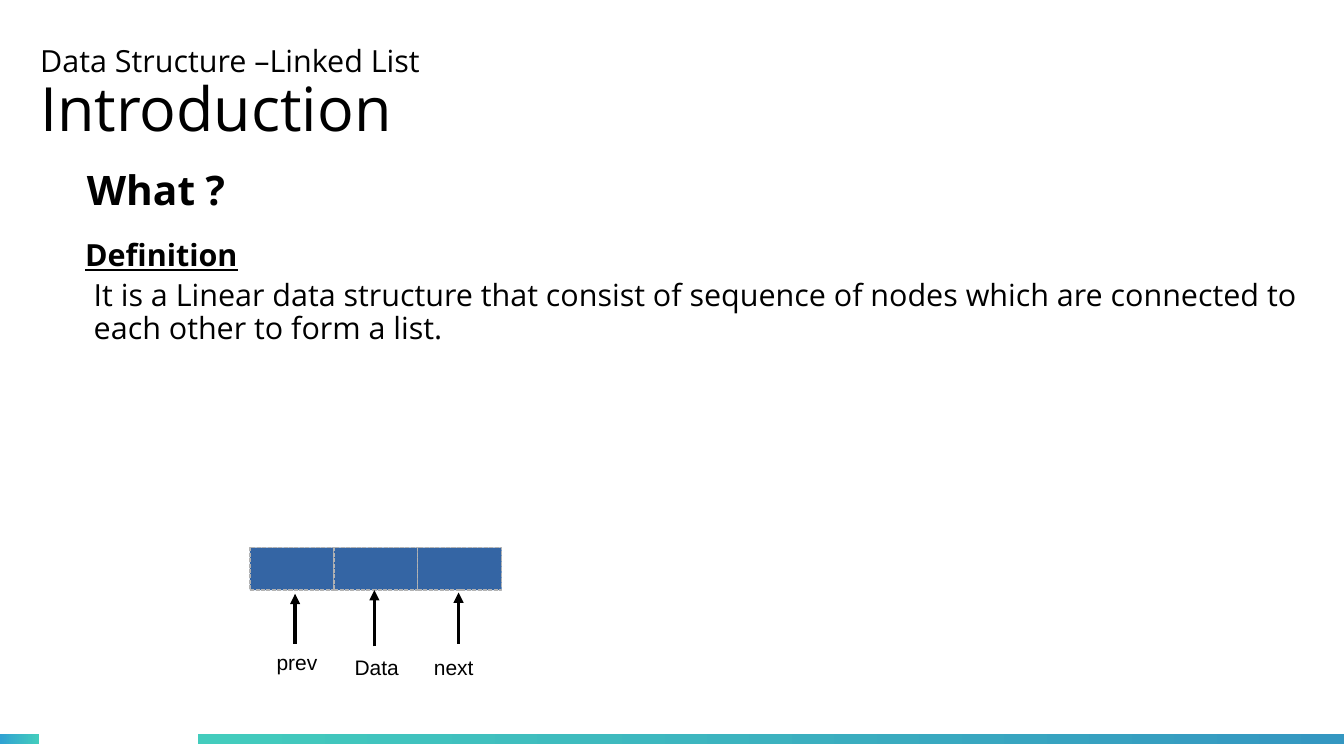
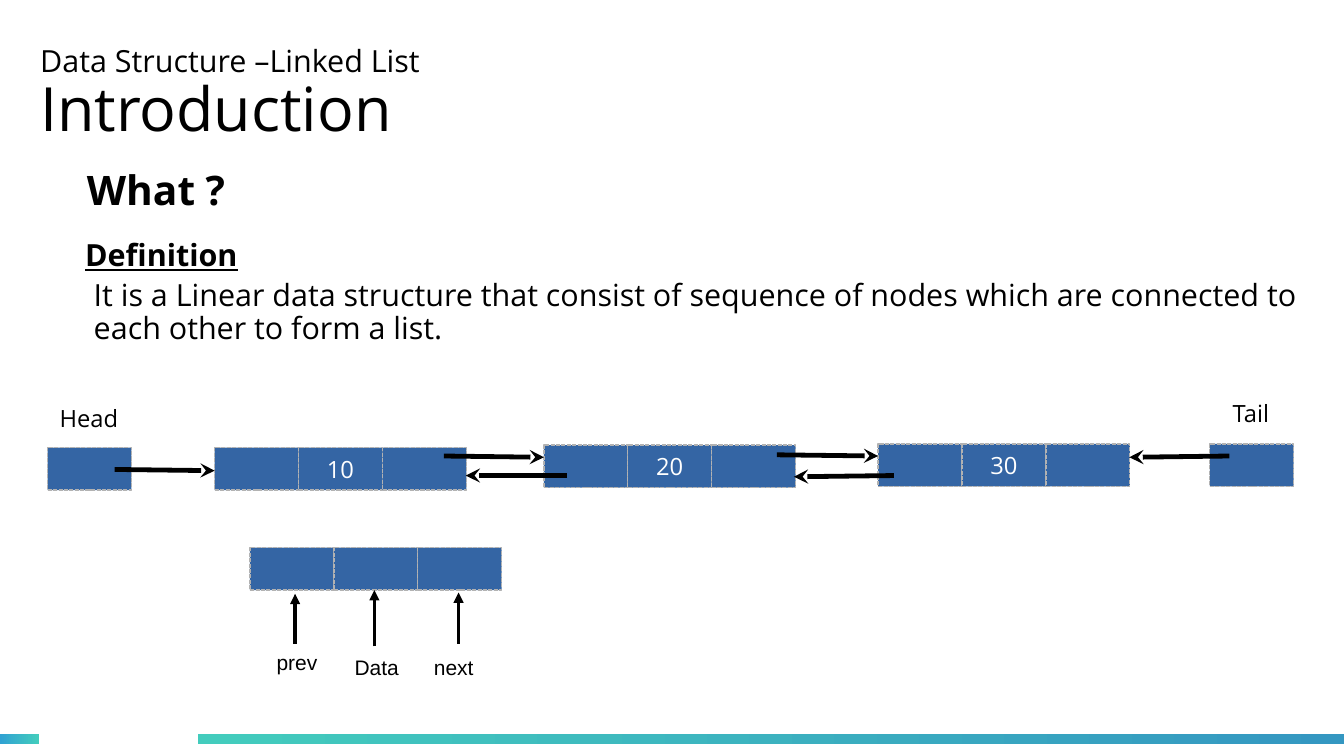
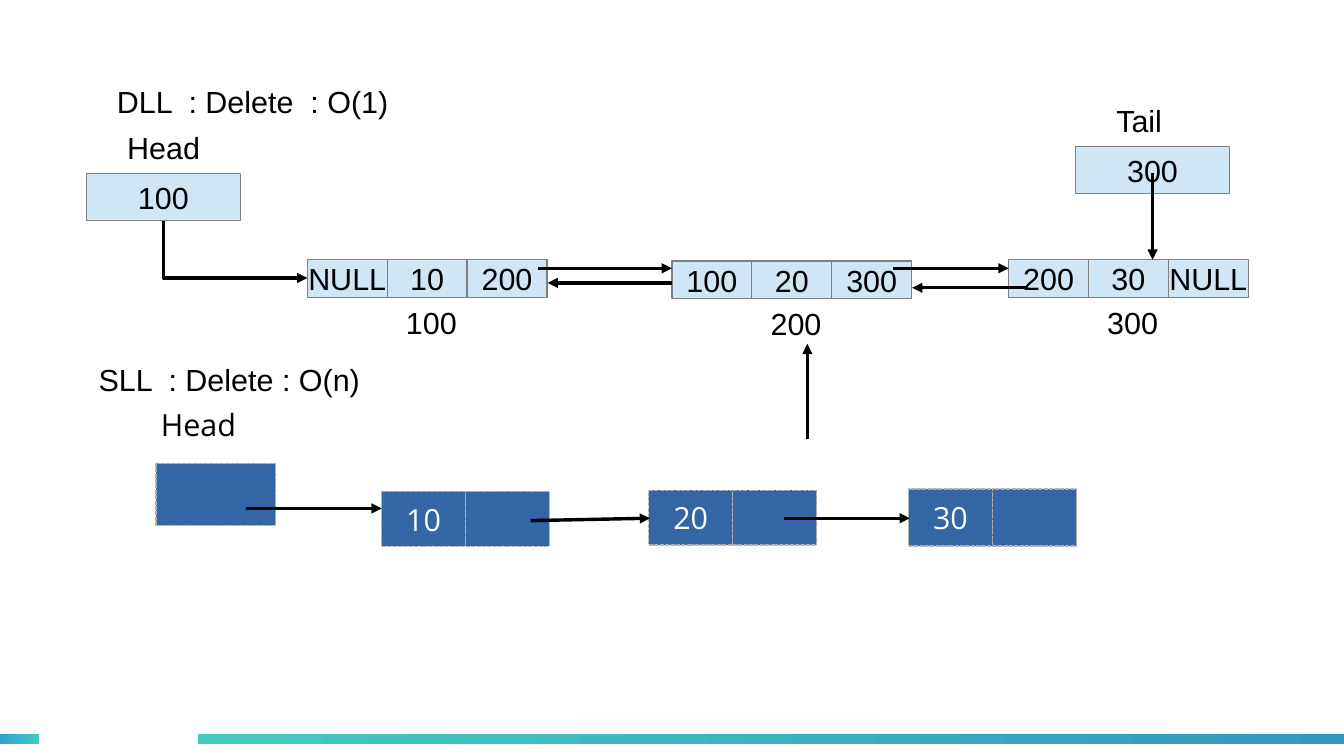
from lxml.etree import SubElement
from pptx import Presentation
from pptx.dml.color import RGBColor
from pptx.enum.dml import MSO_LINE_DASH_STYLE as Dash
from pptx.enum.shapes import MSO_CONNECTOR as Link, MSO_SHAPE as Shape
from pptx.enum.text import MSO_ANCHOR as Anchor, PP_ALIGN as Align
from pptx.oxml.ns import qn
from pptx.util import Inches, Pt

COLUMNS, ROWS = 110.2, 62
CELL = Inches(0.1)
BLANK_LAYOUT = 6

COLORS = {
    "text": "000000",
    "node_text": "FFFFFF",
    "node": "3465A4",
    "node_edge": "B2B2B2",
    "pale": "CFE7F5",
    "pale_edge": "808080",
    "teal": "43CCBD",
    "sky": "30A2D2",
    "blue": "3497C1",
}
SANS, ARIAL = "Open Sans", "Arial"
NODE_WIDTH, NODE_HEIGHT = 6.88, 3.5
PALE_WIDTH, PALE_HEIGHT = 6.55, 3.1


def grid(*cells):
    return [round(cell * CELL) for cell in cells]


def rgb(name):
    return RGBColor.from_string(COLORS[name])


class Deck:
    """Holds the shared style and the current slide; lengths are grid cells."""

    def __init__(self):
        self.deck = Presentation()
        self.deck.slide_width, self.deck.slide_height = grid(COLUMNS, ROWS)
        self.shapes = None

    def new_slide(self):
        layout = self.deck.slide_layouts[BLANK_LAYOUT]
        self.shapes = self.deck.slides.add_slide(layout).shapes
        self.band(0, 3.2, "sky", "teal")
        self.band(16.2, COLUMNS - 16.2, "teal", "blue")

    def band(self, left, width, start, end):
        band = self.plain_rect(left, 60.2, width, 0.8)
        band.fill.gradient()
        band.fill.gradient_angle = 0
        for stop, color in zip(band.fill.gradient_stops, (start, end)):
            stop.color.rgb = rgb(color)
        band.line.fill.background()

    def plain_rect(self, *box):
        rect = self.shapes.add_shape(Shape.RECTANGLE, *grid(*box))
        rect.shadow.inherit = False
        return rect

    def style(self, paragraph, size, font, color="text", bold=False, underline=False):
        for run in paragraph.runs:
            run.font.size = Pt(size)
            run.font.name = font
            run.font.color.rgb = rgb(color)
            run.font.bold = bold
            run.font.underline = underline

    def label(self, box, text, size, font=SANS, align=Align.LEFT, spacing=1.0, **look):
        frame = self.shapes.add_textbox(*grid(*box)).text_frame
        frame.word_wrap = True
        frame.text = text
        paragraph = frame.paragraphs[0]
        paragraph.alignment = align
        paragraph.line_spacing = spacing
        self.style(paragraph, size, font, **look)
        return frame

    def title(self, topic, heading):
        frame = self.label((3.3, 2.7, 76.8, 10.2), topic, 18, spacing=0.9)
        frame.margin_left = frame.margin_right = 0
        frame.margin_top = frame.margin_bottom = 0
        frame.vertical_anchor = Anchor.MIDDLE
        paragraph = frame.add_paragraph()
        paragraph.text = heading
        paragraph.line_spacing = 0.9
        self.style(paragraph, 36, SANS)

    def box(self, box, value, size, pale=False):
        rect = self.plain_rect(*box)
        rect.fill.solid()
        rect.fill.fore_color.rgb = rgb("pale" if pale else "node")
        rect.line.color.rgb = rgb("pale_edge" if pale else "node_edge")
        rect.line.width = Pt(0 if pale else 0.79)
        if not pale:
            rect.line.dash_style = Dash.SQUARE_DOT
        if value:
            frame = rect.text_frame
            frame.word_wrap = False
            frame.vertical_anchor = Anchor.MIDDLE
            frame.text = value
            frame.paragraphs[0].alignment = Align.CENTER
            self.style(frame.paragraphs[0], size, ARIAL if pale else SANS,
                       "text" if pale else "node_text")

    def node(self, left, top, values, width=NODE_WIDTH, height=NODE_HEIGHT,
             size=14, pale=False):
        """Draws one list node as a row of adjoining fields."""
        for field, value in enumerate(values):
            self.box((left + field * width, top, width, height), value, size, pale)

    def finish_arrow(self, link, weight, head):
        link.line.color.rgb = rgb("text")
        link.line.width = Pt(weight)
        line = link.line._get_or_add_ln()
        SubElement(line, qn("a:tailEnd"), type=head, w="med", len="med")
        SubElement(link._element.spPr, qn("a:effectLst"))

    def arrow(self, start, end, weight=0, head="triangle"):
        link = self.shapes.add_connector(Link.STRAIGHT, *grid(*start, *end))
        self.finish_arrow(link, weight, head)

    def bent_arrow(self, start, end):
        """Goes down, then right: a two-part elbow mirrored and turned by 270 degrees."""
        (x1, y1), (x2, y2) = start, end
        across, down = x2 - x1, y2 - y1
        left = (x1 + x2 - down) / 2
        top = (y1 + y2 - across) / 2
        link = self.shapes.add_connector(
            Link.ELBOW, *grid(left + down, top, left, top + across))
        properties = link._element.spPr
        properties.find(qn("a:xfrm")).set("rot", str(270 * 60000))
        properties.find(qn("a:prstGeom")).set("prst", "bentConnector2")
        self.finish_arrow(link, 0, "triangle")

    def introduction(self):
        self.new_slide()
        self.title("Data Structure –Linked List", "Introduction")
        self.label((4, 13, 17.6, 5.5), "What ?", 24, align=Align.CENTER, bold=True)
        self.label((6, 18.9, 19.7, 4.4), "Definition", 18, bold=True, underline=True)
        self.label((6.7, 22.5, 100.8, 7.8),
                   "It is a Linear data structure that consist of sequence of nodes "
                   "which are connected to each other to form a list.", 18, spacing=0.9)
        self.node(20.5, 44.9, ("", "", ""))
        for name, left, top, x, tail, tip in (
                ("prev", 21.7, 52.8, 24.2, 52.8, 48.7),
                ("Data", 28.1, 53.2, 30.7, 53, 48.4),
                ("next", 34.6, 53.2, 37.6, 52.8, 48.6)):
            self.label((left, top, 7, 3), name, 12.4, ARIAL)
            self.arrow((x, tail), (x, tip))

    def chain(self):
        """Adds the doubly linked chain between head and tail."""
        self.label((3.9, 32.6, 8, 3.6), "Head", 14)
        self.label((10.01 * 10, 32.2, 7, 3.6), "Tail", 14)
        self.node(3.9, 36.7, ("",))
        self.node(99.2, 36.4, ("",))
        for left, top, value in ((17.6, 36.7, "10"), (44.6, 36.5, "20"),
                                 (72, 36.4, "30")):
            self.node(left, top, ("", value, ""))
        for start, end in (((9.4, 38.5), (17.6, 38.6)),
                           ((36.4, 37.4), (44.6, 37.5)),
                           ((63.7, 37.3), (72, 37.4)),
                           ((73.3, 39), (65.1, 39.1)),
                           ((46.5, 39), (38.2, 39)),
                           ((100.8, 37.4), (92.6, 37.5))):
            self.arrow(start, end, 2.83, "stealth")

    def doubly_linked_delete(self):
        self.label((8.6, 6.3, 27, 3.8), "DLL  : Delete  : O(1)", 18, ARIAL)
        for name, left, top, value in (("Head", 7.1, 14.2, "100"),
                                       ("Tail", 88.2, 12, "300")):
            self.label((left + 2.35, top - 4.1, 9, 3.8), name, 18, ARIAL)
            self.box((left, top, 12.6, 3.9), value, 18, pale=True)
        for left, top, values, address in (
                (25.2, 21.3, ("NULL", "10", "200"), "100"),
                (55.1, 21.4, ("100", "20", "300"), "200"),
                (82.7, 21.3, ("200", "30", "NULL"), "300")):
            self.node(left, top, values, PALE_WIDTH, PALE_HEIGHT, 18, pale=True)
            self.label((left + 7.1, top + 3.1, 8, 3.8), address, 18, ARIAL)
        self.bent_arrow((13.4, 18.1), (25.2, 22.8))
        for start, end in (((44.1, 22), (55.1, 22)), ((73.2, 22), (82.7, 22)),
                           ((84.3, 23.6), (74.8, 23.6)), ((55.1, 23.2), (44.9, 23.2)),
                           ((94.5, 14.2), (94.5, 21.3)), ((66.2, 36), (66.2, 28.2))):
            self.arrow(start, end)

    def singly_linked_delete(self):
        self.label((7.1, 29.1, 26, 3.8), "SLL  : Delete : O(n)", 18, ARIAL)
        self.label((12.2, 32.8, 11.1, 5.3), "Head", 18)
        self.box((12.8, 38, 9.8, 5.1), "", 18)
        for left, top, height, value in ((31.3, 40.3, 4.5, "10"), (53.2, 40.2, 4.5, "20"),
                                         (74.5, 40.1, 4.7, "30")):
            self.node(left, top, (value, ""), height=height, size=18)
        for start, end in (((20.2, 41.7), (31.3, 41.7)), ((43.5, 42.7), (53.3, 42.5)),
                           ((64.3, 42.5), (74.6, 42.5))):
            self.arrow(start, end)


def main():
    lists = Deck()
    lists.introduction()
    lists.introduction()
    lists.chain()
    lists.new_slide()
    lists.doubly_linked_delete()
    lists.singly_linked_delete()
    lists.deck.save("out.pptx")


if __name__ == "__main__":
    main()
